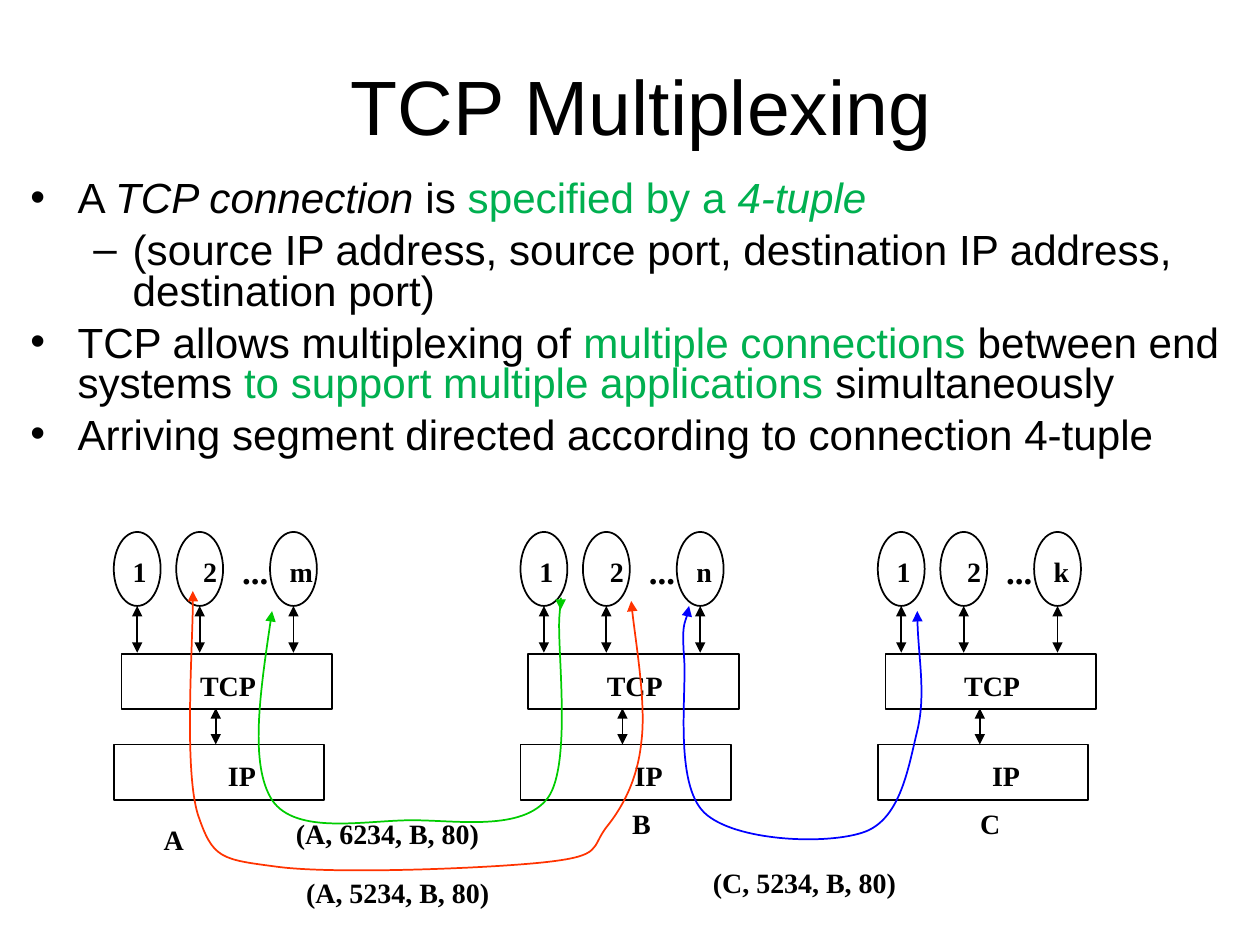
"""Build the TCP multiplexing slide: bullets above three hosts and their connections."""
from dataclasses import dataclass

from lxml import etree
from pptx import Presentation
from pptx.dml.color import RGBColor
from pptx.enum.shapes import MSO_CONNECTOR, MSO_SHAPE
from pptx.enum.text import MSO_ANCHOR, MSO_AUTO_SIZE, PP_ALIGN
from pptx.oxml.ns import qn
from pptx.util import Pt

ELLIPSE, RECTANGLE = MSO_SHAPE.OVAL, MSO_SHAPE.RECTANGLE
STRAIGHT = MSO_CONNECTOR.STRAIGHT
MIDDLE, CENTER = MSO_ANCHOR.MIDDLE, PP_ALIGN.CENTER
NO_FIT, GROW = MSO_AUTO_SIZE.NONE, MSO_AUTO_SIZE.SHAPE_TO_FIT_TEXT

COLORS = {"black": "000000", "accent": "00B050", "red": "FF3300",
          "green": "00CC00", "blue": "0000FF"}
HEADING_FONT, DIAGRAM_FONT = "Arial", "Times New Roman"

PROCESS_TOP, PROCESS_WIDTH, PROCESS_HEIGHT = 304, 26.8, 42.3
PROCESS_OFFSETS = (0, 35.7, 89.3)
LABEL_OFFSETS = (3.7, 44, 93.4)
LAYER_WIDTH, LAYER_HEIGHT = 120.3, 31.7
TCP_TOP, IP_TOP = 373.7, 425.4
LABEL_HEIGHT = 26.6


@dataclass
class Span:
    text: str
    color: str = "black"
    italic: bool = False


@dataclass
class Bullet:
    spans: list[Span]
    level: int = 0


@dataclass
class Host:
    left: float
    last_process: str
    last_width: float


@dataclass
class Connection:
    color: str
    points: list[tuple[float, float]]


@dataclass
class Caption:
    text: str
    left: float
    top: float
    width: float


BULLETS = [
    Bullet([Span("A "), Span("TCP connection", italic=True), Span(" is "),
            Span("specified by a ", "accent"), Span("4-tuple", "accent", True)]),
    Bullet([Span("(source IP address, source port, destination IP address, destination port)")], 1),
    Bullet([Span("TCP allows multiplexing of "), Span("multiple connections ", "accent"),
            Span("between end systems "), Span("to support multiple applications ", "accent"),
            Span("simultaneously")]),
    Bullet([Span("Arriving segment directed according to connection 4-tuple")]),
]
BULLET_INDENTS = [(27, -27), (58.5, -22.5)]

HOSTS = [Host(65, "m", 27.7), Host(297.4, "n", 23.3), Host(501.6, "k", 23.3)]

CONNECTIONS = [
    Connection("red", [
        (110.2, 337.7), (110.9, 359.3), (105.1, 438.5), (113, 465.1),
        (121.7, 491), (126, 491), (159.1, 495.4), (193, 499.7), (282.2, 496.1),
        (313.2, 492.5), (344.2, 488.9), (337.7, 484.6), (346.3, 473),
        (355.7, 461.5), (364.3, 445.7), (366.5, 424.1),
        (369.4, 402.5), (362.2, 360.7), (360.7, 343.4)]),
    Connection("green", [
        (155.5, 349.2), (149, 393.1), (142.6, 437), (155.5, 457.2),
        (169.2, 477.4), (208.8, 468.7), (235.4, 468.7), (261.4, 468.7),
        (298.8, 475.2), (313.2, 455.8), (326.9, 436.3), (318.2, 370.1),
        (319.7, 352.1), (321.1, 334.8), (320.4, 349.2), (320.4, 348.5)]),
    Connection("blue", [
        (524.2, 349.2), (524.2, 373), (529.2, 396.7), (524.2, 417.6),
        (519.1, 438.5), (514.8, 467.3), (494.6, 475.2), (473.8, 483.1),
        (419.8, 481), (402.5, 464.4), (385.2, 447.8), (392.4, 396),
        (391, 376.6), (389.5, 356.4), (393.1, 352.8), (393.8, 346.3)]),
]

CAPTIONS = [
    Caption("A", 86.4, 466.6, 26), Caption("B", 354.2, 457.2, 25.1),
    Caption("C", 553, 457.2, 26),
    Caption("(A, 5234, B, 80)", 167.8, 496.8, 118.8),
    Caption("(A, 6234, B, 80)", 162, 463, 118.8),
    Caption("(C, 5234, B, 80)", 400.3, 491, 118.8),
]


def rgb(color: str) -> RGBColor:
    return RGBColor.from_string(COLORS[color])


def style_font(font, name: str, size: float, color: str = "black") -> None:
    font.name, font.size = name, Pt(size)
    font.color.rgb = rgb(color)


def place(shape, left: float, top: float, width: float, height: float) -> None:
    shape.left, shape.top = Pt(left), Pt(top)
    shape.width, shape.height = Pt(width), Pt(height)


def style_line(shape, color: str, arrows: bool = False) -> None:
    shape.line.color.rgb = rgb(color)
    shape.line.width = Pt(1)
    if arrows:
        outline = shape._element.spPr.find(qn("a:ln"))
        for end in ("a:headEnd", "a:tailEnd"):
            etree.SubElement(outline, qn(end), type="triangle")


def add_outline(shapes, kind, left: float, top: float, width: float, height: float) -> None:
    shape = shapes.add_shape(kind, Pt(left), Pt(top), Pt(width), Pt(height))
    shape.shadow.inherit = False
    shape.fill.background()
    style_line(shape, "black")


def add_label(shapes, text: str, left: float, top: float, width: float,
              height: float = LABEL_HEIGHT, size: float = 16) -> None:
    label = shapes.add_textbox(Pt(left), Pt(top), Pt(width), Pt(height))
    frame = label.text_frame
    frame.text = text
    frame.word_wrap, frame.auto_size = False, GROW
    font = frame.paragraphs[0].runs[0].font
    style_font(font, DIAGRAM_FONT, size)
    font.bold = True


def add_arrow(shapes, x: float, top: float, bottom: float) -> None:
    arrow = shapes.add_connector(STRAIGHT, Pt(x), Pt(top), Pt(x), Pt(bottom))
    style_line(arrow, "black", arrows=True)
    etree.SubElement(arrow._element.spPr, qn("a:effectLst"))


def add_host(slide, host: Host) -> None:
    shapes, left = slide.shapes.add_group_shape().shapes, host.left
    names, widths = ("1", "2", host.last_process), (22.4, 22.4, host.last_width)
    for name, width, offset, label_offset in zip(names, widths, PROCESS_OFFSETS, LABEL_OFFSETS):
        add_outline(shapes, ELLIPSE, left + offset, PROCESS_TOP, PROCESS_WIDTH, PROCESS_HEIGHT)
        add_arrow(shapes, left + offset + PROCESS_WIDTH / 2, PROCESS_TOP + PROCESS_HEIGHT, 373)
        add_label(shapes, name, left + label_offset, 313.2, width)
    add_label(shapes, "...", left + 66.3, 310.3, 29.4, 31.7, 20)
    add_outline(shapes, RECTANGLE, left + 4.5, TCP_TOP, LAYER_WIDTH, LAYER_HEIGHT)
    add_label(shapes, "TCP", left + 42.3, 378.7, 46.4)
    add_outline(shapes, RECTANGLE, left, IP_TOP, LAYER_WIDTH, LAYER_HEIGHT)
    add_label(shapes, "IP", left + 58.2, 429.8, 30.4)
    add_arrow(shapes, left + 58.3, 404.7, IP_TOP)


def add_connection(slide, connection: Connection) -> None:
    start, *rest = [(Pt(x), Pt(y)) for x, y in connection.points]
    builder = slide.shapes.build_freeform(*start)
    builder.add_line_segments(rest, close=False)
    curve = builder.convert_to_shape()
    curve.shadow.inherit = False
    curve.fill.background()
    style_line(curve, connection.color, arrows=True)
    outline = next(curve._element.iter(qn("a:path")))
    segments = outline.findall(qn("a:lnTo"))
    for first in range(0, len(segments), 3):
        bezier = etree.SubElement(outline, qn("a:cubicBezTo"))
        for segment in segments[first:first + 3]:
            bezier.append(segment[0])
            outline.remove(segment)


def fill_title(title) -> None:
    place(title, 42.5, 15.1, 648, 90)
    frame = title.text_frame
    frame.text = "TCP Multiplexing"
    frame.vertical_anchor, frame.auto_size = MIDDLE, NO_FIT
    frame.paragraphs[0].alignment = CENTER
    style_font(frame.paragraphs[0].runs[0].font, HEADING_FONT, 44)


def fill_body(body) -> None:
    place(body, 10.1, 100.1, 699, 188.6)
    frame = body.text_frame
    frame.auto_size = NO_FIT
    for index, bullet in enumerate(BULLETS):
        paragraph = frame.add_paragraph() if index else frame.paragraphs[0]
        paragraph.level = bullet.level
        margin, indent = BULLET_INDENTS[bullet.level]
        properties = paragraph._p.get_or_add_pPr()
        properties.set("marL", str(Pt(margin)))
        properties.set("indent", str(Pt(indent)))
        paragraph.line_spacing = 0.8
        paragraph.space_before = Pt(6.5 if index else 0)
        for span in bullet.spans:
            run = paragraph.add_run()
            run.text = span.text
            style_font(run.font, HEADING_FONT, 24.1, span.color)
            run.font.italic = span.italic


def main() -> None:
    deck = Presentation()
    deck.slide_width, deck.slide_height = Pt(720), Pt(540)
    slide = deck.slides.add_slide(deck.slide_layouts[1])
    fill_title(slide.shapes.title)
    fill_body(slide.placeholders[1])
    for host in HOSTS:
        add_host(slide, host)
    for connection in CONNECTIONS:
        add_connection(slide, connection)
    for caption in CAPTIONS:
        add_label(slide.shapes, caption.text, caption.left, caption.top, caption.width)
    deck.save("out.pptx")


if __name__ == "__main__":
    main()
